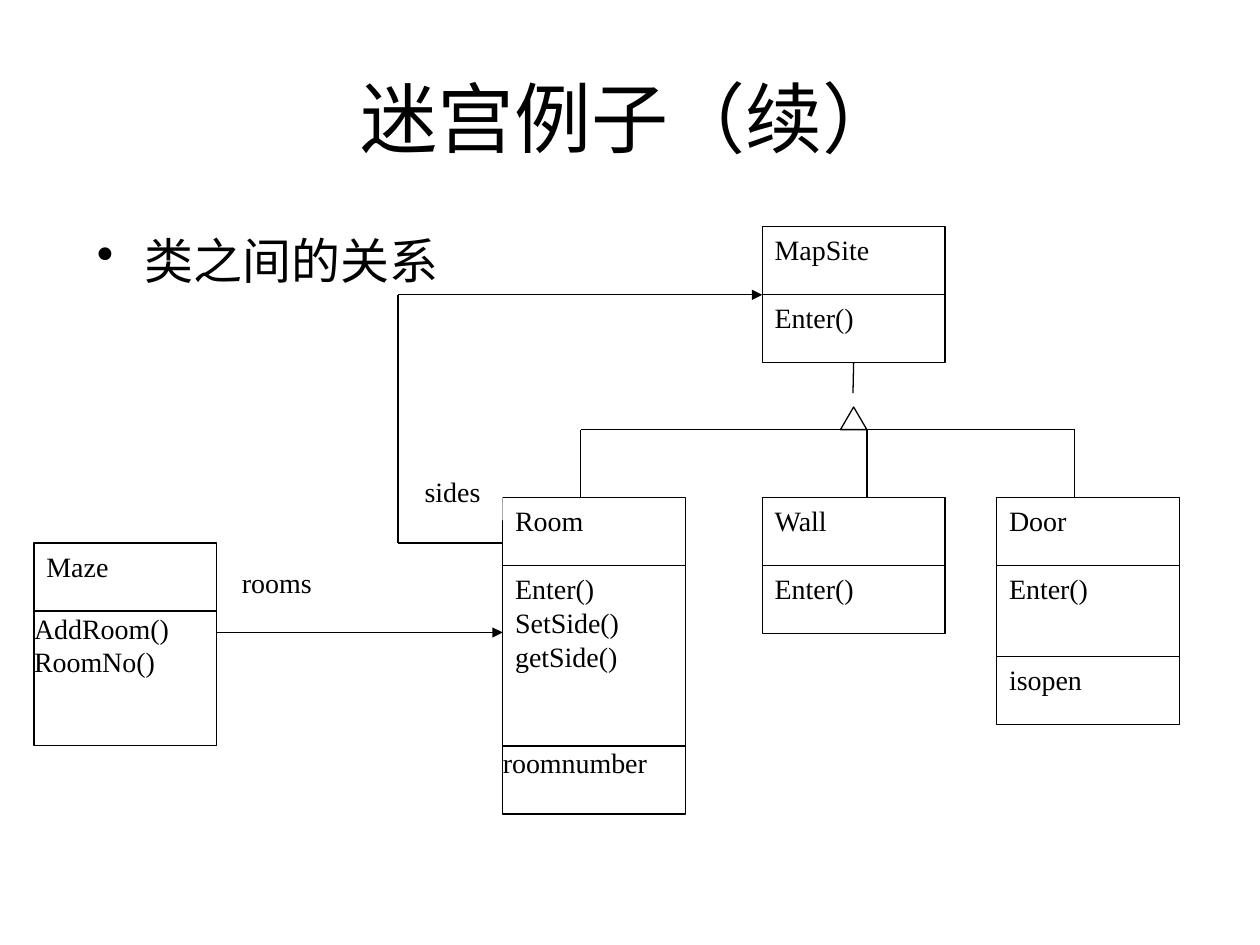
from lxml import etree
from pptx import Presentation
from pptx.dml.color import RGBColor
from pptx.enum.shapes import MSO_CONNECTOR as Connector, MSO_SHAPE as Shape
from pptx.enum.text import MSO_ANCHOR as Anchor, PP_ALIGN as Align
from pptx.oxml.ns import qn
from pptx.util import Inches, Pt

COLORS = {"ink": "000000", "paper": "FFFFFF"}
HEADING_FONT = "Arial"
DIAGRAM_FONT = "Times New Roman"
WIDE_INSETS = (0.1, 0.05)
NO_INSETS = (0, 0)


class ClassDiagram:
    line_width = Pt(0.75)
    box_width = 1.45
    row_height = 0.54

    def __init__(self, slide):
        self.slide = slide

    def color(self, name):
        return RGBColor.from_string(COLORS[name])

    def fill_text(self, shape, lines, font, size, insets=WIDE_INSETS,
                  align=Align.LEFT, anchor=Anchor.TOP, bullet=False):
        frame = shape.text_frame
        frame.word_wrap = True
        frame.vertical_anchor = anchor
        frame.margin_left = frame.margin_right = Inches(insets[0])
        frame.margin_top = frame.margin_bottom = Inches(insets[1])
        for index, line in enumerate(lines):
            paragraph = frame.add_paragraph() if index else frame.paragraphs[0]
            paragraph.alignment = align
            if bullet:
                properties = paragraph._p.get_or_add_pPr()
                properties.set("marL", str(Inches(0.38)))
                properties.set("indent", str(Inches(-0.38)))
                etree.SubElement(properties, qn("a:buChar")).set("char", "•")
            run = paragraph.add_run()
            run.text = line
            run.font.name = font
            run.font.size = Pt(size)
            run.font.color.rgb = self.color("ink")

    def text(self, left, top, width, height, line, size, **layout):
        box = self.slide.shapes.add_textbox(
            Inches(left), Inches(top), Inches(width), Inches(height))
        self.fill_text(box, [line], HEADING_FONT, size, **layout)

    def shape(self, kind, left, top, width, height, outlined=True):
        shape = self.slide.shapes.add_shape(
            kind, Inches(left), Inches(top), Inches(width), Inches(height))
        shape.shadow.inherit = False
        shape.fill.solid()
        shape.fill.fore_color.rgb = self.color("paper")
        if outlined:
            shape.line.color.rgb = self.color("ink")
            shape.line.width = self.line_width
        else:
            shape.line.fill.background()
        return shape

    def class_box(self, left, top, *compartments):
        for lines, height, insets in compartments:
            box = self.shape(Shape.RECTANGLE, left, top, self.box_width, height)
            self.fill_text(box, lines, DIAGRAM_FONT, 16, insets)
            top += height
        return box

    def row(self, *lines, height=row_height, insets=WIDE_INSETS):
        return lines, height, insets

    def label(self, left, top, line):
        box = self.shape(Shape.RECTANGLE, left, top, 0.62, 0.36, outlined=False)
        self.fill_text(box, [line], DIAGRAM_FONT, 16, NO_INSETS)

    def line(self, start, end, arrow=False):
        connector = self.slide.shapes.add_connector(
            Connector.STRAIGHT, *map(Inches, start + end))
        connector.line.color.rgb = self.color("ink")
        connector.line.width = self.line_width
        if arrow:
            outline = connector.line._get_or_add_ln()
            etree.SubElement(outline, qn("a:tailEnd")).set("type", "triangle")
        etree.SubElement(connector._element.spPr, qn("a:effectLst"))
        return connector


def main():
    presentation = Presentation()
    presentation.slide_width = Inches(10)
    presentation.slide_height = Inches(7.5)
    slide = presentation.slides.add_slide(presentation.slide_layouts[6])
    diagram = ClassDiagram(slide)
    row = diagram.row

    diagram.text(0.5, 0.3, 9, 1.25, "迷宫例子（续）", 44,
                 align=Align.CENTER, anchor=Anchor.MIDDLE)
    diagram.text(0.67, 1.78, 9, 4.95, "类之间的关系", 28, bullet=True)

    map_site = diagram.class_box(6.05, 1.8, row("MapSite"), row("Enter()"))
    diagram.class_box(6.05, 3.95, row("Wall"), row("Enter()"))
    diagram.class_box(3.99, 3.95, row("Room"),
                      row("Enter()", "SetSide()", "getSide()", height=1.43),
                      row("roomnumber", insets=NO_INSETS))
    diagram.class_box(7.91, 3.95, row("Door"),
                      row("Enter()", height=0.72), row("isopen"))

    branch_y, subclass_y = 3.41, 3.95
    branches = (4.61, 6.88, 8.53)
    diagram.line((branches[0], branch_y), (branches[-1], branch_y))
    diagram.shape(Shape.ISOSCELES_TRIANGLE, 6.67, 3.23, 0.21, 0.18)
    stem = diagram.line((6.77, 2.88), (6.77, 3.12))
    stem.begin_connect(map_site, 2)
    for x in branches:
        diagram.line((x, branch_y), (x, subclass_y))

    diagram.line((3.16, 2.34), (6.05, 2.34), arrow=True)
    diagram.line((3.16, 2.34), (3.16, 4.31))
    diagram.line((3.16, 4.31), (3.99, 4.31))
    diagram.label(3.37, 3.77, "sides")

    diagram.class_box(0.27, 4.31, row("Maze"),
                      row("AddRoom()", "RoomNo()", height=1.07, insets=NO_INSETS))
    diagram.line((1.72, 5.02), (3.99, 5.02), arrow=True)
    diagram.label(1.92, 4.49, "rooms")

    presentation.save("out.pptx")


if __name__ == "__main__":
    main()
